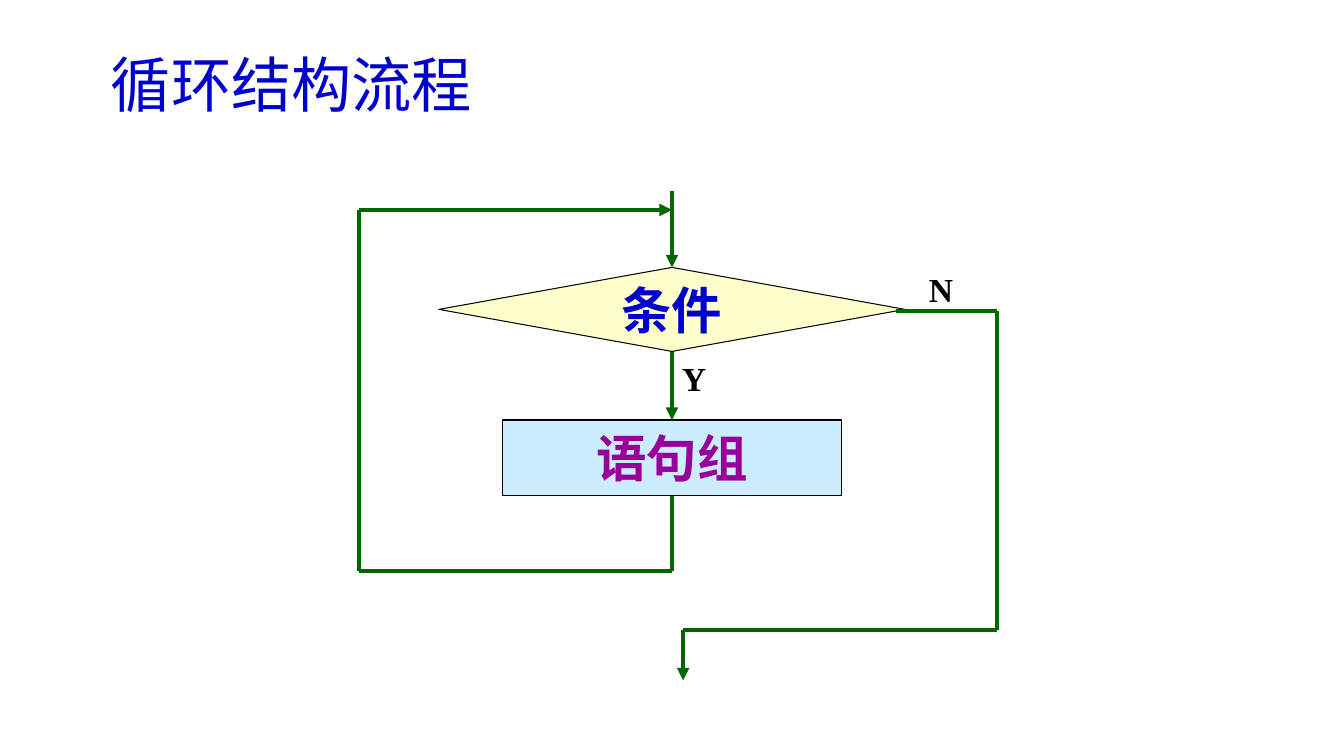
from dataclasses import dataclass

import lxml.etree
import pptx
import pptx.dml.color
import pptx.enum.shapes
import pptx.enum.text
import pptx.oxml.ns
import pptx.slide
import pptx.text.text
import pptx.util

Pt = pptx.util.Pt
RGBColor = pptx.dml.color.RGBColor
Shape = pptx.enum.shapes.MSO_SHAPE
Align = pptx.enum.text.PP_ALIGN
qn = pptx.oxml.ns.qn

BLUE = RGBColor(0x00, 0x00, 0xCC)
PURPLE = RGBColor(0x99, 0x00, 0x99)
GREEN = RGBColor(0x00, 0x66, 0x00)
BLACK = RGBColor(0x00, 0x00, 0x00)
PALE_YELLOW = RGBColor(0xFF, 0xFF, 0xCC)
PALE_BLUE = RGBColor(0xCC, 0xEC, 0xFF)

LATIN_FONT = "Times New Roman"
CHINESE_FONT = "Noto Sans CJK SC"

# Flow columns and rows, in points
LOOP_X, MAIN_X, EXIT_X, NO_X = 256.5, 480, 488, 712
ENTRY_Y, RETURN_Y, CONDITION_Y, NO_Y = 136.5, 150, 191, 222
BODY_Y, BODY_END_Y, LOOP_END_Y, EXIT_Y, END_Y = 300, 354, 408, 450, 486


@dataclass(frozen=True)
class Step:
    text: str
    kind: Shape
    top: float
    width: float
    height: float
    fill: RGBColor
    color: RGBColor


@dataclass(frozen=True)
class Flow:
    x1: float
    y1: float
    x2: float
    y2: float
    arrow: bool = False


@dataclass(frozen=True)
class Label:
    text: str
    left: float
    top: float


BODY = Step("语句组", Shape.RECTANGLE, BODY_Y, 242, BODY_END_Y - BODY_Y, PALE_BLUE, PURPLE)
CONDITION = Step("条件", Shape.FLOWCHART_DECISION, CONDITION_Y, 333, 60, PALE_YELLOW, BLUE)

ENTRY_FLOWS = [
    Flow(MAIN_X, ENTRY_Y, MAIN_X, CONDITION_Y, arrow=True),
    Flow(MAIN_X, 246, MAIN_X, BODY_Y, arrow=True),
]
LOOP_FLOWS = [
    Flow(LOOP_X, RETURN_Y, MAIN_X, RETURN_Y, arrow=True),
    Flow(MAIN_X, LOOP_END_Y, MAIN_X, BODY_END_Y),
    Flow(LOOP_X, LOOP_END_Y, MAIN_X, LOOP_END_Y),
    Flow(LOOP_X, RETURN_Y, LOOP_X, LOOP_END_Y),
]
EXIT_FLOWS = [
    Flow(EXIT_X, EXIT_Y, EXIT_X, END_Y, arrow=True),
    Flow(640, NO_Y, NO_X, NO_Y),
    Flow(NO_X, NO_Y, NO_X, EXIT_Y),
    Flow(EXIT_X, EXIT_Y, NO_X, EXIT_Y),
]
LABELS = [Label("Y", MAIN_X, 252), Label("N", 656.5, 188.5)]


def write(frame: pptx.text.text.TextFrame, text: str, size: float, color: RGBColor,
          latin: str, bold: bool, align: Align) -> None:
    frame.text = text
    paragraph = frame.paragraphs[0]
    paragraph.alignment = align
    run = paragraph.runs[0]
    run.font.size = Pt(size)
    run.font.bold = bold
    run.font.color.rgb = color
    run.font.name = latin
    chinese = lxml.etree.SubElement(run.font._element, qn("a:ea"))
    chinese.set("typeface", CHINESE_FONT)


def draw_step(slide: pptx.slide.Slide, step: Step) -> None:
    box = slide.shapes.add_shape(step.kind, Pt(MAIN_X - step.width / 2), Pt(step.top),
                                 Pt(step.width), Pt(step.height))
    box.shadow.inherit = False
    box.fill.solid()
    box.fill.fore_color.rgb = step.fill
    box.line.color.rgb = BLACK
    box.line.width = Pt(0.75)
    box.text_frame.word_wrap = False
    box.text_frame.vertical_anchor = pptx.enum.text.MSO_ANCHOR.MIDDLE
    write(box.text_frame, step.text, 36, step.color, LATIN_FONT, True, Align.CENTER)


def draw_flow(slide: pptx.slide.Slide, flow: Flow) -> None:
    line = slide.shapes.add_connector(pptx.enum.shapes.MSO_CONNECTOR.STRAIGHT,
                                      Pt(flow.x1), Pt(flow.y1), Pt(flow.x2), Pt(flow.y2))
    line.line.color.rgb = GREEN
    line.line.width = Pt(3)
    properties = line._element.spPr
    if flow.arrow:
        head = lxml.etree.SubElement(properties.find(qn("a:ln")), qn("a:tailEnd"))
        head.set("type", "triangle")
    lxml.etree.SubElement(properties, qn("a:effectLst"))


def draw_label(slide: pptx.slide.Slide, label: Label) -> None:
    box = slide.shapes.add_textbox(Pt(label.left), Pt(label.top), Pt(80), Pt(36))
    box.text_frame.word_wrap = True
    box.text_frame.auto_size = pptx.enum.text.MSO_AUTO_SIZE.SHAPE_TO_FIT_TEXT
    write(box.text_frame, label.text, 24, BLACK, LATIN_FONT, True, Align.LEFT)


def draw_title(slide: pptx.slide.Slide, text: str) -> None:
    title = slide.shapes.title
    title.left, title.top, title.width, title.height = Pt(72), Pt(18), Pt(816), Pt(90)
    title.text_frame.auto_size = pptx.enum.text.MSO_AUTO_SIZE.NONE
    title.text_frame.vertical_anchor = pptx.enum.text.MSO_ANCHOR.MIDDLE
    write(title.text_frame, text, 43, BLUE, CHINESE_FONT, False, Align.LEFT)
    title.text_frame.paragraphs[0].line_spacing = 0.9


def main() -> None:
    deck = pptx.Presentation()
    deck.slide_width, deck.slide_height = Pt(960), Pt(540)
    slide = deck.slides.add_slide(deck.slide_layouts[5])
    draw_title(slide, "循环结构流程")

    # The condition covers the start of the line that leaves it
    draw_step(slide, BODY)
    for flow in ENTRY_FLOWS:
        draw_flow(slide, flow)
    draw_step(slide, CONDITION)

    # Way back to the condition and way out
    for flow in LOOP_FLOWS + EXIT_FLOWS:
        draw_flow(slide, flow)
    for label in LABELS:
        draw_label(slide, label)

    deck.save("out.pptx")


if __name__ == "__main__":
    main()
